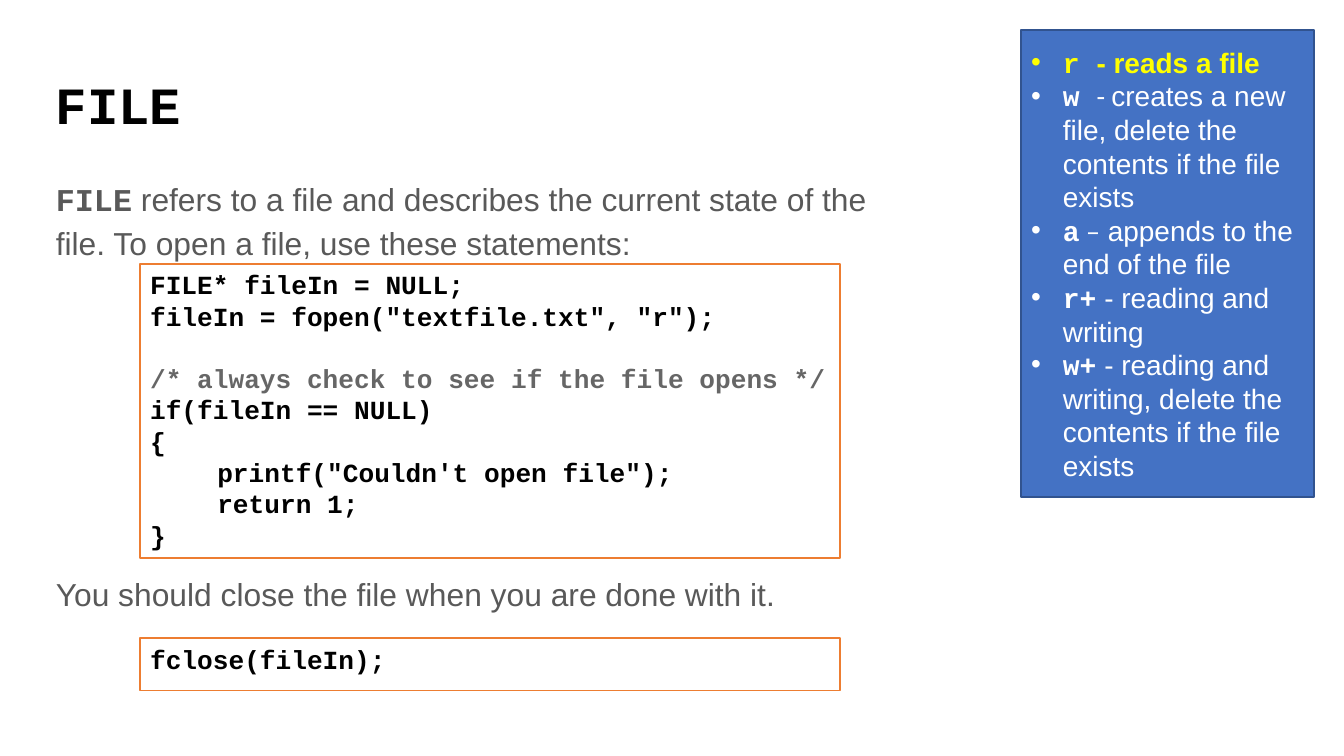
import pptx
import pptx.util
import pptx.dml.color
import pptx.enum.shapes
import pptx.enum.text
import pptx.oxml
import pptx.oxml.ns

Pt = pptx.util.Pt
RGB = pptx.dml.color.RGBColor
ALIGN = pptx.enum.text.PP_ALIGN
ANCHOR = pptx.enum.text.MSO_ANCHOR
RECT = pptx.enum.shapes.MSO_SHAPE.RECTANGLE
MONO, SANS, CALIBRI = "Courier New", "Arial", "Calibri"
COLORS = {
    "black": "000000", "white": "FFFFFF", "body": "595959", "comment": "666666",
    "yellow": "FFFF00", "panel": "4472C4", "panel_line": "31538F", "orange": "ED7D31",
}


def add_text(p, runs, size, color):
    for text, font, bold in runs:
        r = p.add_run()
        r.text = text
        for name, value in {"name": font, "size": Pt(size), "bold": bold}.items():
            setattr(r.font, name, value)
        r.font.color.rgb = RGB.from_string(COLORS[color])


def setup(sp, box, anchor):
    for name, value in zip(("left", "top", "width", "height"), box):
        setattr(sp, name, Pt(value))
    tf = sp.text_frame
    frame = {
        "word_wrap": True, "auto_size": pptx.enum.text.MSO_AUTO_SIZE.NONE, "vertical_anchor": anchor,
        "margin_left": Pt(5.4), "margin_right": Pt(5.4), "margin_top": Pt(2.7), "margin_bottom": Pt(2.7),
    }
    for name, value in frame.items():
        setattr(tf, name, value)
    return tf


prs = pptx.Presentation()
prs.slide_width, prs.slide_height = Pt(720), Pt(405)
s = prs.slides.add_slide(prs.slide_layouts[1])

tf = setup(s.shapes.title, (24.5, 35, 671, 45), ANCHOR.MIDDLE)
p = tf.paragraphs[0]
p.alignment, p.line_spacing = ALIGN.LEFT, 0.9
add_text(p, [("FILE", MONO, True)], 28, "black")

body = [
    (0, [("FILE", MONO, True),
         (" refers to a file and describes the current state of the file. "
          "To open a file, use these statements:", SANS, False)]),
    (165, [("You should close the file when you are done with it.", SANS, False)]),
]
tf = setup(s.placeholders[1], (24.5, 90.5, 475, 269.5), ANCHOR.TOP)
for i, (before, runs) in enumerate(body):
    p = tf.add_paragraph() if i else tf.paragraphs[0]
    pPr = p._p.get_or_add_pPr()
    pPr.set("marL", "0")
    pPr.set("indent", "0")
    pPr.append(pptx.oxml.parse_xml(f'<a:buNone {pptx.oxml.ns.nsdecls("a")}/>'))
    p.alignment, p.line_spacing, p.space_before = ALIGN.LEFT, 1.15, Pt(before)
    add_text(p, runs, 17, "body")

modes = [
    ("yellow", [("r ", MONO, True), ("- reads a file", SANS, True)]),
    ("white", [("w ", MONO, True), ("- ", CALIBRI, False),
               ("creates a new file, delete the contents if the file exists", SANS, False)]),
    ("white", [("a", MONO, True), (" –", CALIBRI, False),
               (" appends to the end of the file", SANS, False)]),
    ("white", [("r+", MONO, True), (" - reading and writing", SANS, False)]),
    ("white", [("w+", MONO, True),
               (" - reading and writing, delete the contents if the file exists", SANS, False)]),
]
code = [
    ("black", 0, "FILE* fileIn = NULL;"),
    ("black", 0, 'fileIn = fopen("textfile.txt", "r");'),
    ("comment", 16.5, "/* always check to see if the file opens */"),
    ("black", 0, "if(fileIn == NULL)"),
    ("black", 0, "{"),
    ("black", 0, '\tprintf("Couldn\'t open file");'),
    ("black", 0, "\treturn 1;"),
    ("black", 0, "}"),
]
boxes = [
    ((547, 16, 157, 250.5), "panel", "panel_line", ANCHOR.MIDDLE, 15,
     [(color, 0, runs) for color, runs in modes]),
    ((75, 141.3, 375, 157.7), "white", "orange", ANCHOR.TOP, 14,
     [(color, before, [(text, MONO, True)]) for color, before, text in code]),
    ((75, 342, 375, 28), "white", "orange", ANCHOR.TOP, 14,
     [("black", 0, [("fclose(fileIn);", MONO, True)])]),
]
for box, fill, line, anchor, size, paragraphs in boxes:
    sp = s.shapes.add_shape(RECT, 0, 0, 0, 0)
    sp.shadow.inherit = False
    sp.fill.solid()
    sp.fill.fore_color.rgb = RGB.from_string(COLORS[fill])
    sp.line.color.rgb = RGB.from_string(COLORS[line])
    sp.line.width = Pt(1)
    tf = setup(sp, box, anchor)
    for i, (color, before, runs) in enumerate(paragraphs):
        p = tf.add_paragraph() if i else tf.paragraphs[0]
        if fill == "panel":
            pPr = p._p.get_or_add_pPr()
            pPr.set("marL", str(Pt(17)))
            pPr.set("indent", str(Pt(-17)))
            ns = pptx.oxml.ns.nsdecls("a")
            for xml in (f'<a:buClr {ns}><a:srgbClr val="{COLORS[color]}"/></a:buClr>',
                        f'<a:buFont {ns} typeface="{SANS}"/>',
                        f'<a:buChar {ns} char="•"/>'):
                pPr.append(pptx.oxml.parse_xml(xml))
        p.alignment, p.space_before = ALIGN.LEFT, Pt(before)
        add_text(p, runs, size, color)

prs.save("out.pptx")
